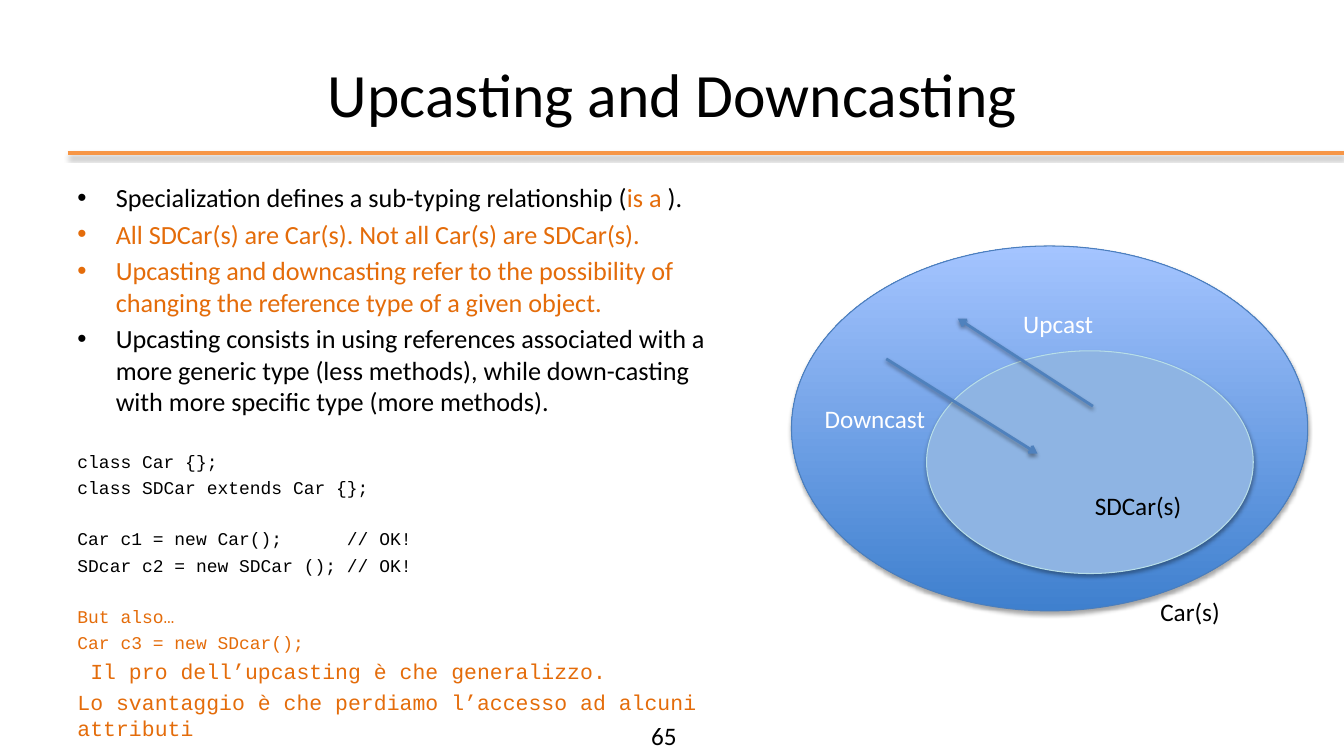
from lxml import etree
from pptx import Presentation
from pptx.dml.color import RGBColor
from pptx.enum.shapes import MSO_CONNECTOR as CONN, MSO_SHAPE as SHAPE
from pptx.enum.text import MSO_ANCHOR as ANCHOR, PP_ALIGN as ALIGN
from pptx.oxml import parse_xml
from pptx.oxml.ns import nsdecls, qn
from pptx.util import Inches, Pt

BLACK, WHITE, ORANGE, BLUE = "000000", "FFFFFF", "E46C0A", "4F81BD"
SANS, MONO = "Calibri", "Courier New"


def rgb(value):
    """Turn a hex string into a colour."""
    return RGBColor.from_string(value)


def add_run(p, text, size=18, font=SANS, color=BLACK):
    """Add formatted text to a paragraph."""
    r = p.add_run()
    r.text = text
    r.font.size, r.font.name = Pt(size), font
    r.font.color.rgb = rgb(color)


class SlideBuilder:
    """Hold the slide and draw its elements in one style."""

    def __init__(self, s):
        """Keep the current slide."""
        self.s = s

    def shadow(self, sp, distance=1.8, alpha=35):
        """Give a shape a soft shadow below."""
        sp._element.spPr.append(parse_xml(
            f'<a:effectLst {nsdecls("a")}><a:outerShdw blurRad="{Pt(3.1)}" '
            f'dist="{Pt(distance)}" dir="5400000" rotWithShape="0">'
            f'<a:srgbClr val="{BLACK}"><a:alpha val="{alpha * 1000}"/></a:srgbClr>'
            '</a:outerShdw></a:effectLst>'))

    def box(self, x, y, w, h, wrap=True, anchor=ANCHOR.TOP):
        """Add an empty text box and return its frame."""
        tf = self.s.shapes.add_textbox(*map(Inches, (x, y, w, h))).text_frame
        tf.word_wrap, tf.vertical_anchor = wrap, anchor
        return tf

    def label(self, text, x, y, w, **fmt):
        """Add a one-line label."""
        add_run(self.box(x, y, w, 0.4, wrap=False).paragraphs[0], text, **fmt)

    def title(self, text):
        """Add the centred title."""
        p = self.box(0.67, 0.3, 12, 1.25, anchor=ANCHOR.MIDDLE).paragraphs[0]
        p.alignment = ALIGN.CENTER
        add_run(p, text, size=44)

    def body(self, bullets, code):
        """Add the bullets and the code lines below them."""
        tf = self.box(0.67, 1.75, 6.63, 4.95)
        p = tf.paragraphs[0]
        for i, runs in enumerate(bullets):
            p = tf.add_paragraph() if i else p
            p.space_before = Pt(3.7 if i else 0)
            for text, color in runs:
                add_run(p, text, size=18.7, color=color)
            pPr = p._p.get_or_add_pPr()
            pPr.set("marL", str(Inches(0.38)))
            pPr.set("indent", str(Inches(-0.38)))
            etree.SubElement(pPr, qn("a:buFont")).set("typeface", "Arial")
            etree.SubElement(pPr, qn("a:buChar")).set("char", "•")
        for text, size, color, before in code:
            p = tf.add_paragraph()
            p.space_before = Pt(before)
            add_run(p, text, size=size, font=MONO, color=color)

    def ellipse(self, x, y, w, h, line, *colors):
        """Add an ellipse with a plain or a bottom-to-top gradient fill."""
        sp = self.s.shapes.add_shape(SHAPE.OVAL, *map(Inches, (x, y, w, h)))
        if len(colors) == 1:
            sp.fill.solid()
            sp.fill.fore_color.rgb = rgb(colors[0])
        else:
            sp.fill.gradient()
            sp.fill.gradient_angle = 90
            for stop, color in zip(sp.fill.gradient_stops, colors):
                stop.color.rgb = rgb(color)
        sp.line.color.rgb, sp.line.width = rgb(line), Pt(0.75)
        self.shadow(sp)

    def line(self, x1, y1, x2, y2, color=BLUE, width=2, arrow=True):
        """Add a straight line, by default with an arrowhead at its end."""
        c = self.s.shapes.add_connector(CONN.STRAIGHT, *map(Inches, (x1, y1, x2, y2)))
        c.line.color.rgb, c.line.width = rgb(color), Pt(width)
        if arrow:
            etree.SubElement(c.line._get_or_add_ln(), qn("a:tailEnd")).set("type", "arrow")
            self.shadow(c, distance=1.6, alpha=38)
        else:
            self.shadow(c)


BULLETS = [
    [("Specialization defines a sub-typing relationship (", BLACK),
     ("is a ", ORANGE), (").", BLACK)],
    [("All SDCar(s) are Car(s). Not all Car(s) are SDCar(s).", ORANGE)],
    [("Upcasting and downcasting refer to the possibility of changing "
      "the reference type of a given object.", ORANGE)],
    [("Upcasting consists in using references associated with a more generic type "
      "(less methods), while down-casting with more specific type (more methods).", BLACK)],
]
CODE = [
    ("class Car {};", 12.8, BLACK, 24),
    ("class SDCar extends Car {};", 12.8, BLACK, 3.4),
    ("Car c1 = new Car();      // OK!", 12.8, BLACK, 21.2),
    ("SDcar c2 = new SDCar (); // OK!", 12.8, BLACK, 3.4),
    ("But also…", 12.8, ORANGE, 21.2),
    ("Car c3 = new SDcar();", 12.8, ORANGE, 3.4),
    (" Il pro dell’upcasting è che generalizzo.", 15.3, ORANGE, 3.7),
    ("Lo svantaggio è che perdiamo l’accesso ad alcuni attributi", 15.3, ORANGE, 3.7),
]


def main():
    """Build the slide and save it."""
    prs = Presentation()
    prs.slide_width, prs.slide_height = Inches(13.33), Inches(7.5)
    b = SlideBuilder(prs.slides.add_slide(prs.slide_layouts[6]))
    b.line(0.67, 1.52, 13.33, 1.52, color="F79646", width=3, arrow=False)
    b.title("Upcasting and Downcasting")
    b.body(BULLETS, CODE)
    b.ellipse(7.85, 2.44, 5.12, 3.62, "4B7EBC", "3F80CE", "A4C4FF")
    b.ellipse(9.19, 3.48, 3.24, 2.21, "B7DEE8", "8EB4E3")
    b.label("SDCar(s)", 10.76, 4.82, 1.07)
    b.line(8.79, 3.56, 10.29, 4.5)
    b.line(10.84, 4.03, 9.5, 3.16)
    b.label("Upcast", 10.05, 3.01, 0.91, color=WHITE)
    b.label("Downcast", 8.08, 3.95, 1.21, color=WHITE)
    b.label("65", 6.36, 7.1, 5.3)
    b.label("Car(s)", 11.41, 5.87, 0.8)
    prs.save("out.pptx")


if __name__ == "__main__":
    main()
